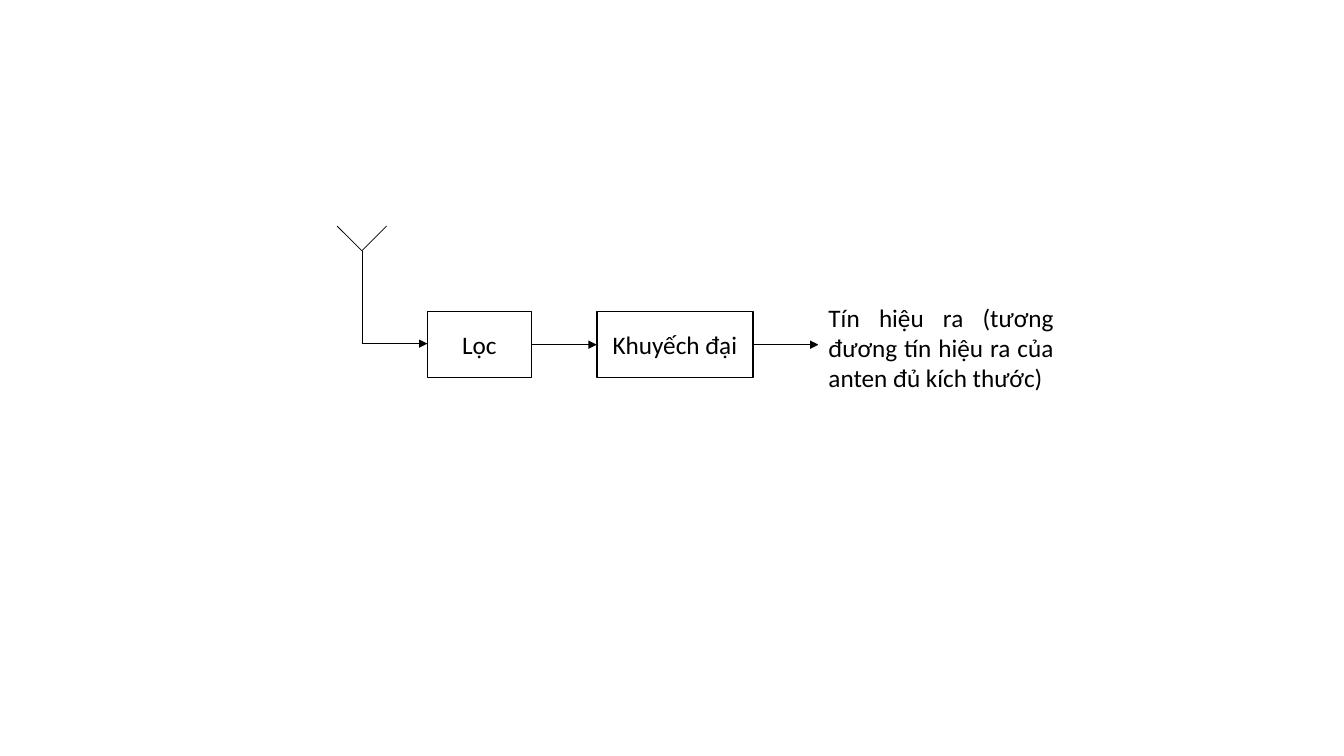
from lxml.etree import SubElement
from pptx import Presentation
from pptx.dml.color import RGBColor
from pptx.enum.shapes import MSO_CONNECTOR, MSO_SHAPE
from pptx.enum.text import MSO_ANCHOR, PP_ALIGN
from pptx.oxml.ns import qn
from pptx.util import Pt

BLACK = RGBColor(0, 0, 0)
WHITE = RGBColor(255, 255, 255)


def write_text(shape, text, font="Calibri", size=18, color=BLACK, align=PP_ALIGN.CENTER):
    frame = shape.text_frame
    frame.word_wrap = True
    frame.vertical_anchor = MSO_ANCHOR.MIDDLE
    paragraph = frame.paragraphs[0]
    paragraph.alignment = align
    run = paragraph.add_run()
    run.text = text
    run.font.name = font
    run.font.size = Pt(size)
    run.font.color.rgb = color


class Diagram:
    """Holds the drawing style and the current slide."""
    line_width = 0.5
    border_width = 1

    def __init__(self, slide):
        self.slide = slide

    def line(self, start, end, arrow=False):
        connector = self.slide.shapes.add_connector(
            MSO_CONNECTOR.STRAIGHT, *(Pt(value) for value in (*start, *end)))
        connector.line.color.rgb = BLACK
        connector.line.width = Pt(self.line_width)
        if arrow:
            line_element = connector.line._get_or_add_ln()
            SubElement(line_element, qn("a:tailEnd"), type="triangle")
        SubElement(connector._element.spPr, qn("a:effectLst"))

    def box(self, left, top, width, height, text, border=BLACK, align=PP_ALIGN.CENTER):
        shape = self.slide.shapes.add_shape(
            MSO_SHAPE.RECTANGLE, Pt(left), Pt(top), Pt(width), Pt(height))
        shape.shadow.inherit = False
        shape.fill.solid()
        shape.fill.fore_color.rgb = WHITE
        shape.line.color.rgb = border
        shape.line.width = Pt(self.border_width)
        write_text(shape, text, align=align)


def main():
    presentation = Presentation()
    presentation.slide_width = Pt(960)
    presentation.slide_height = Pt(540)
    blank_layout = presentation.slide_layouts[6]
    diagram = Diagram(presentation.slides.add_slide(blank_layout))

    # Antenna: mast and two arms
    mast_x, fork_y, feed_y, arm = 258.5, 179.2, 245.5, 17.7
    diagram.line((mast_x, fork_y), (mast_x, feed_y))
    for side in (1, -1):
        diagram.line((mast_x, fork_y), (mast_x + side * arm, fork_y - arm))

    # Processing chain: each box is followed by an arrow
    gap, box_top, box_height, signal_y = 46.8, 222.5, 47, 246.2
    left = mast_x + gap
    diagram.line((mast_x, feed_y), (left, feed_y), arrow=True)
    for label, width in (("Lọc", 74.2), ("Khuyếch đại", 111.6)):
        diagram.box(left, box_top, width, box_height, label)
        right = left + width
        left = right + gap
        diagram.line((right, signal_y), (left, signal_y), arrow=True)

    # Output signal
    diagram.box(left, 209.5, 175, 77, border=WHITE, align=PP_ALIGN.JUSTIFY,
                text="Tín hiệu ra (tương đương tín hiệu ra của anten đủ kích thước)")

    presentation.save("out.pptx")


if __name__ == "__main__":
    main()
